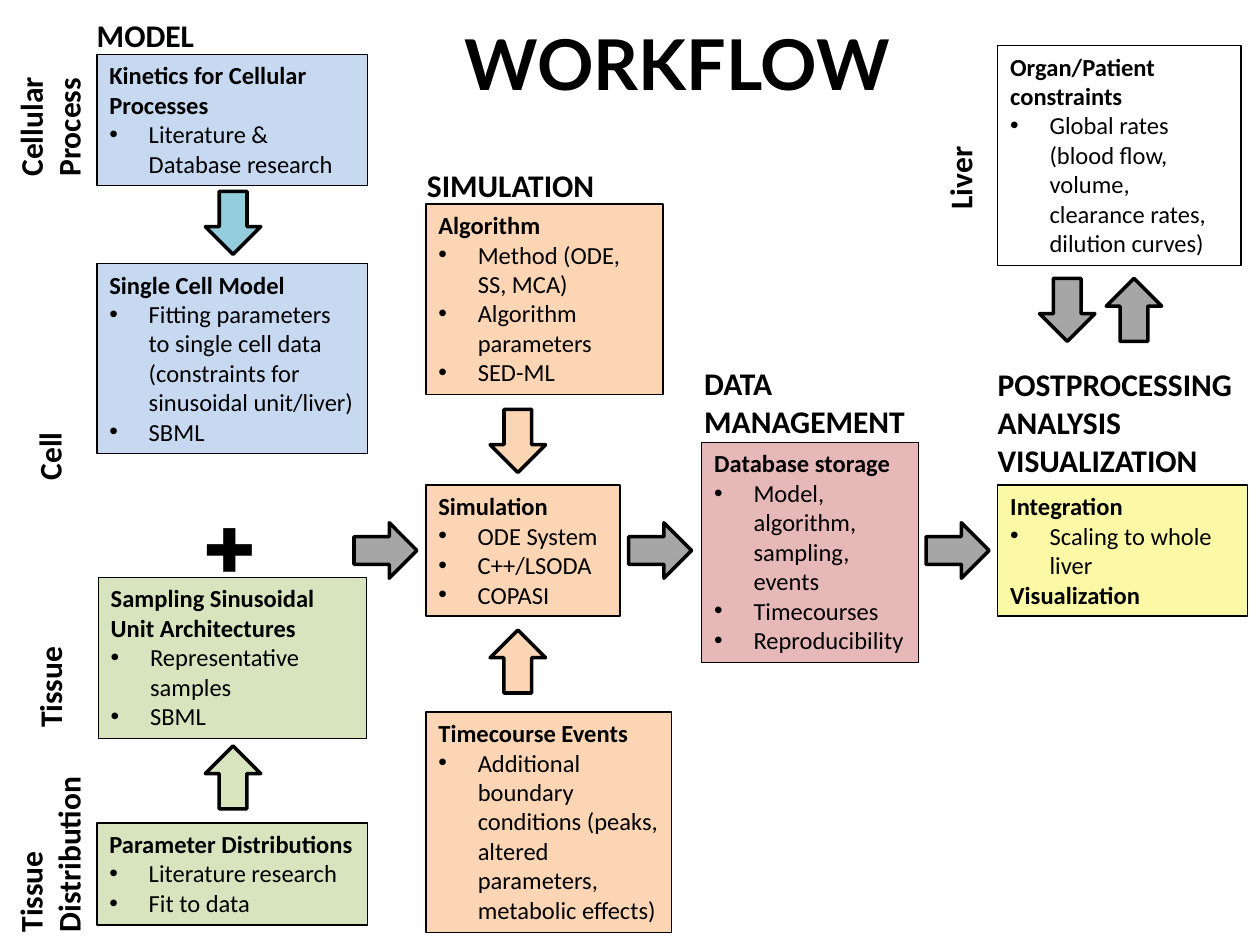
from copy import deepcopy
from typing import NamedTuple

from lxml.etree import SubElement
from pptx import Presentation
from pptx.dml.color import RGBColor
from pptx.enum.shapes import MSO_SHAPE as Shape
from pptx.enum.text import MSO_ANCHOR as Anchor, MSO_AUTO_SIZE as AutoSize, PP_ALIGN as Align
from pptx.oxml.ns import qn
from pptx.util import Pt

BLACK, GRAY, WHITE = "000000", "A6A6A6", "FFFFFF"
BLUE, TEAL, GREEN = "C6D9F1", "93CDDD", "D7E4BD"
ORANGE, ROSE, YELLOW = "FCD5B5", "E6B9B8", "FBF9A5"
RIGHT, DOWN, UP = 0, 90, 270
ARROW_LENGTH, ARROW_WIDTH = 36, 31.7
BULLET_INDENT = 22.5
BULLET = "• "  # marks a bulleted line in the data below

# Column edges and arrow axes
MODEL_X, SIMULATION_X, DATA_X, POST_X = 55.4, 243.4, 401, 570.2
MODEL_AXIS, SIMULATION_AXIS, FLOW_AXIS, LIVER_AXIS = 133.2, 295.9, 314.6, 177.1


class Box(NamedTuple):
    left: float
    top: float
    width: float
    height: float
    fill: str | None
    lines: list[str]


class Arrow(NamedTuple):
    center_x: float
    center_y: float
    direction: int
    fill: str


class Label(NamedTuple):
    left: float
    top: float
    width: float
    height: float
    lines: list[str]
    rotation: int = 0


BOXES = [
    # Model
    Box(MODEL_X, 31, 154.8, 74.9, BLUE,
        ["Kinetics for Cellular Processes", "• Literature & Database research"]),
    Box(MODEL_X, 150.5, 154.8, 108.7, BLUE,
        ["Single Cell Model",
         "• Fitting parameters to single cell data (constraints for sinusoidal unit/liver)",
         "• SBML"]),
    Box(56.2, 329.8, 153.4, 92.2, GREEN,
        ["Sampling Sinusoidal Unit Architectures", "• Representative samples", "• SBML"]),
    Box(MODEL_X, 470.2, 154.8, 58.3, GREEN,
        ["Parameter Distributions", "• Literature research", "• Fit to data"]),
    # Simulation
    Box(SIMULATION_X, 116.6, 135.4, 108.7, ORANGE,
        ["Algorithm", "• Method (ODE, SS, MCA)", "• Algorithm parameters", "• SED-ML"]),
    Box(SIMULATION_X, 277.2, 110.9, 74.9, ORANGE,
        ["Simulation", "• ODE System", "• C++/LSODA", "• COPASI"]),
    Box(SIMULATION_X, 406.8, 140.4, 126, ORANGE,
        ["Timecourse Events",
         "• Additional boundary conditions (peaks, altered parameters, metabolic effects)"]),
    # Data management
    Box(DATA_X, 252.7, 123.8, 126, ROSE,
        ["Database storage", "• Model, algorithm, sampling, events",
         "• Timecourses", "• Reproducibility"]),
    # Postprocessing
    Box(POST_X, 277.2, 142.6, 74.9, YELLOW,
        ["Integration", "• Scaling to whole liver", "Visualization"]),
    Box(POST_X, 25.9, 139, 126, None,
        ["Organ/Patient constraints",
         "• Global rates \v(blood flow, volume, clearance rates, dilution curves)"]),
]

ARROWS = [
    Arrow(MODEL_AXIS, 127.4, DOWN, TEAL),
    Arrow(MODEL_AXIS, 444.2, UP, GREEN),
    Arrow(SIMULATION_AXIS, 252, DOWN, ORANGE),
    Arrow(SIMULATION_AXIS, 378, UP, ORANGE),
    Arrow(220.3, FLOW_AXIS, RIGHT, GRAY),
    Arrow(377.3, FLOW_AXIS, RIGHT, GRAY),
    Arrow(547.2, FLOW_AXIS, RIGHT, GRAY),
    Arrow(609.8, LIVER_AXIS, DOWN, GRAY),
    Arrow(648, LIVER_AXIS, UP, GRAY),
]

LABELS = [
    # Stage headings
    Label(48.2, 5.8, 70.6, 28.8, ["MODEL"]),
    Label(236.9, 91.4, 110.9, 28.8, ["SIMULATION"]),
    Label(395.3, 204.5, 130.3, 51.1, ["DATA", "MANAGEMENT"]),
    Label(563, 205.2, 149.8, 72.7, ["POSTPROCESSING", "ANALYSIS", "VISUALIZATION"]),
    # Scales of the model
    Label(-7.2, 46.8, 71.3, 51.1, ["Cellular\vProcess"], UP),
    Label(7.2, 246.2, 41.8, 28.8, ["Cell"], UP),
    Label(-2.2, 378, 61.2, 28.8, ["Tissue"], UP),
    Label(-23.8, 462.2, 104.4, 51.1, ["Tissue\vDistribution"], UP),
    Label(523.4, 87.1, 50.4, 28.8, ["Liver"], UP),
]


def color(value: str) -> RGBColor:
    return RGBColor.from_string(value)


def place(left: float, top: float, width: float, height: float) -> list[Pt]:
    return [Pt(value) for value in (left, top, width, height)]


def add_bullet(paragraph) -> None:
    properties = paragraph._p.get_or_add_pPr()
    properties.set("marL", str(Pt(BULLET_INDENT)))
    properties.set("indent", str(-Pt(BULLET_INDENT)))
    SubElement(properties, qn("a:buFont"), typeface="Arial")
    SubElement(properties, qn("a:buChar"), char=BULLET.strip())


def write(shape, lines: list[str], *, size: float, font: str = "Calibri", align=Align.LEFT,
          anchor=Anchor.TOP, wrap: bool = True, grow: bool = True) -> None:
    """Write the lines; bulleted lines are regular, all others bold."""
    frame = shape.text_frame
    frame.word_wrap = wrap
    frame.auto_size = AutoSize.SHAPE_TO_FIT_TEXT if grow else AutoSize.NONE
    frame.vertical_anchor = anchor
    for index, line in enumerate(lines):
        paragraph = frame.add_paragraph() if index else frame.paragraphs[0]
        bulleted = line.startswith(BULLET)
        paragraph.text = line.removeprefix(BULLET)
        paragraph.alignment = align
        if bulleted:
            add_bullet(paragraph)
        for run in paragraph.runs:
            run.font.name = font
            run.font.size = Pt(size)
            run.font.bold = not bulleted
            run.font.color.rgb = color(BLACK)
        # Line breaks take the format of the text around them
        for line_break in paragraph._p.findall(qn("a:br")):
            line_break.insert(0, deepcopy(paragraph.runs[0]._r.rPr))


def add_outlined(slide, kind, position: list[Pt], fill: str | None, line_width: float):
    shape = slide.shapes.add_shape(kind, *position)
    shape.shadow.inherit = False
    if fill:
        shape.fill.solid()
        shape.fill.fore_color.rgb = color(fill)
    else:
        shape.fill.background()
    shape.line.color.rgb = color(BLACK)
    shape.line.width = Pt(line_width)
    return shape


def add_box(slide, box: Box) -> None:
    shape = add_outlined(slide, Shape.RECTANGLE, place(*box[:4]), box.fill, 0.75)
    write(shape, box.lines, size=14)


def add_arrow(slide, arrow: Arrow) -> None:
    position = place(arrow.center_x - ARROW_LENGTH / 2, arrow.center_y - ARROW_WIDTH / 2,
                     ARROW_LENGTH, ARROW_WIDTH)
    shape = add_outlined(slide, Shape.RIGHT_ARROW, position, arrow.fill, 2)
    shape.rotation = arrow.direction


def add_label(slide, label: Label, **text_format) -> None:
    shape = slide.shapes.add_textbox(*place(*label[:4]))
    shape.rotation = label.rotation
    write(shape, label.lines, **text_format)


def main() -> None:
    presentation = Presentation()
    presentation.slide_width, presentation.slide_height = Pt(720), Pt(540)
    slide = presentation.slides.add_slide(presentation.slide_layouts[6])
    slide.background.fill.solid()
    slide.background.fill.fore_color.rgb = color(WHITE)

    # Title
    add_label(slide, Label(108, -9.4, 558, 90, ["WORKFLOW"]), size=40, font="Lato",
              align=Align.CENTER, anchor=Anchor.MIDDLE, grow=False)
    # Steps and the flow between them
    for box in BOXES:
        add_box(slide, box)
    for arrow in ARROWS:
        add_arrow(slide, arrow)
    # Headings, scales and the plus sign
    for label in LABELS:
        add_label(slide, label, size=18, wrap=False)
    add_label(slide, Label(108, 275.8, 50.4, 72.7, ["+"]), size=54, font="Montserrat", wrap=False)

    presentation.save("out.pptx")


if __name__ == "__main__":
    main()
